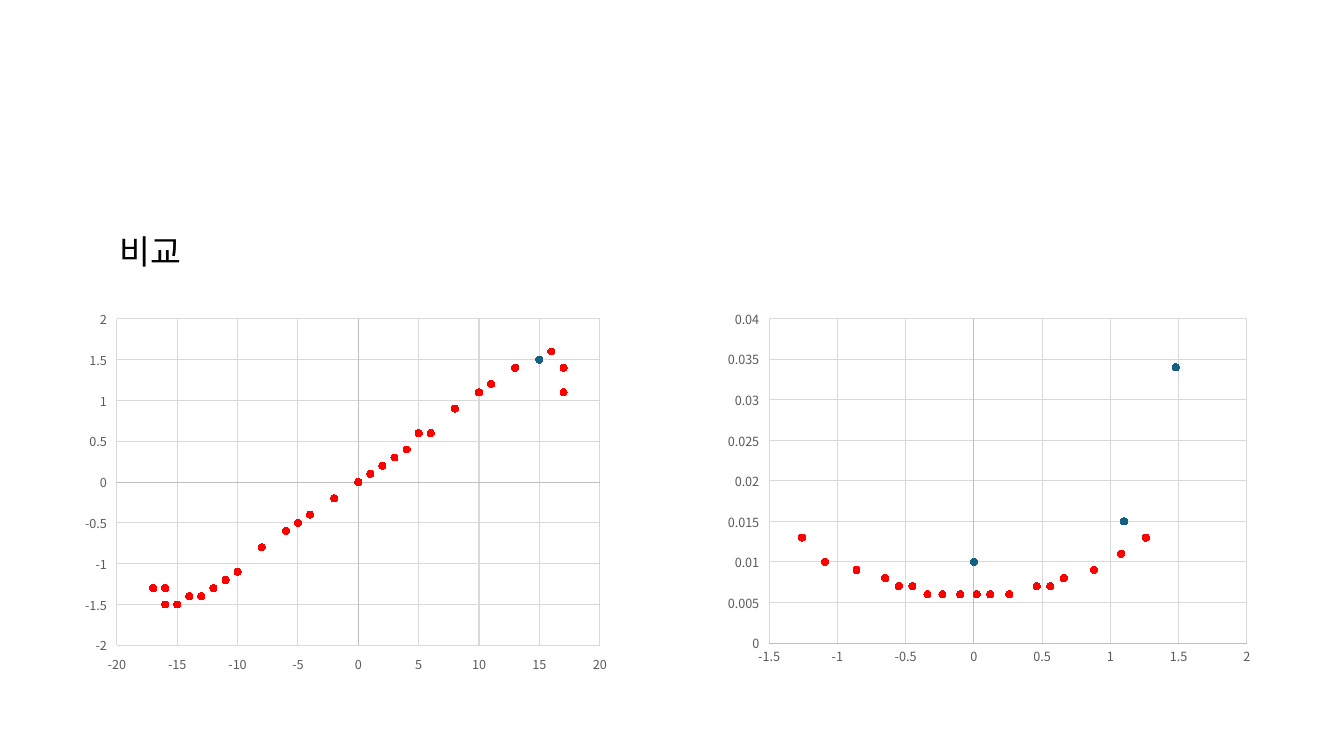
from lxml import etree
from pptx import Presentation, util as u
from pptx.chart.data import XyChartData
from pptx.dml.color import RGBColor
from pptx.enum import chart as ch, text as tx
from pptx.oxml.ns import qn

FONT = "Noto Sans CJK KR"
TITLE = "비교"
RED, BLUE = "FF0000", "156082"
LABEL, AXIS, GRID = "595959", "BFBFBF", "D9D9D9"
WIDE, HIGH = 13.33, 7.5
SIZE = (5.4, 3.67)
TOP = 3

CHARTS = [
    {
        "left": 0.83,
        "x": (-20, 20, 5), "y": (-2, 2, 0.5), "low": True,
        "plot": (0.061, 0.046, 0.887, 0.908),
        "red": [
            (-17, -1.3), (-16, -1.3), (-16, -1.5), (-15, -1.5),
            (-14, -1.4), (-13, -1.4), (-12, -1.3), (-11, -1.2),
            (-10, -1.1), (-8, -0.8), (-6, -0.6), (-5, -0.5),
            (-4, -0.4), (-2, -0.2), (0, 0), (1, 0.1), (2, 0.2),
            (3, 0.3), (4, 0.4), (5, 0.6), (6, 0.6), (8, 0.9),
            (10, 1.1), (11, 1.2), (13, 1.4), (16, 1.6),
            (17, 1.4), (17, 1.1)],
        "blue": [(0, 0), (10, 1.1), (15, 1.5)],
    },
    {
        "left": 7.11,
        "x": (-1.5, 2, 0.5), "y": (0, 0.04, 0.005), "low": False,
        "plot": None,
        "red": [
            (-1.26, 0.013), (-1.09, 0.01), (-0.86, 0.009),
            (-0.65, 0.008), (-0.55, 0.007), (-0.45, 0.007),
            (-0.34, 0.006), (-0.23, 0.006), (-0.1, 0.006),
            (0.02, 0.006), (0.12, 0.006), (0.26, 0.006), (0.46, 0.007),
            (0.56, 0.007), (0.66, 0.008), (0.88, 0.009),
            (1.08, 0.011), (1.26, 0.013)],
        "blue": [(0, 0.01), (1.1, 0.015), (1.48, 0.034)],
    },
]


def paint(fill, color):
    fill.solid()
    fill.fore_color.rgb = RGBColor.from_string(color)


def style(font, size, color):
    for key, val in {"name": FONT, "size": u.Pt(size)}.items():
        setattr(font, key, val)
    font.color.rgb = RGBColor.from_string(color)


def rule(line, color):
    paint(line.fill, color)
    line.width = u.Pt(0.75)


def set_axis(axis, span, low):
    form = {
        "minimum_scale": span[0], "maximum_scale": span[1],
        "major_unit": span[2], "has_major_gridlines": True,
        "major_tick_mark": ch.XL_TICK_MARK.NONE,
        "minor_tick_mark": ch.XL_TICK_MARK.NONE,
    }
    for key, val in form.items():
        setattr(axis, key, val)
    if low:
        axis.tick_label_position = ch.XL_TICK_LABEL_POSITION.LOW
    style(axis.tick_labels.font, 9, LABEL)
    rule(axis.format.line, AXIS)
    rule(axis.major_gridlines.format.line, GRID)


def set_plot(chart, box):
    """Fix the inner plot area as shares of the chart's size."""
    area = chart.plots[0]._element.getparent()
    for old in area.findall(qn("c:layout")):
        area.remove(old)
    lay = etree.Element(qn("c:layout"))
    area.insert(0, lay)
    man = etree.SubElement(lay, qn("c:manualLayout"))
    vals = ["inner", "edge", "edge", *box]
    tags = ["layoutTarget", "xMode", "yMode", "x", "y", "w", "h"]
    for tag, val in zip(tags, vals):
        etree.SubElement(man, qn("c:" + tag)).set("val", str(val))


def add_scatter(slide, item):
    data = XyChartData()
    for name, key in (("Series 1", "red"), ("Series 2", "blue")):
        row = data.add_series(name)
        for x, y in item[key]:
            row.add_data_point(x, y)
    box = [u.Inches(v) for v in (item["left"], TOP, *SIZE)]
    chart = slide.shapes.add_chart(
        ch.XL_CHART_TYPE.XY_SCATTER, *box, data).chart
    chart.has_legend = chart.has_title = False
    style(chart.font, 10, "000000")
    chart.plots[0].vary_by_categories = False
    set_axis(chart.category_axis, item["x"], item["low"])
    set_axis(chart.value_axis, item["y"], True)
    if item["plot"]:
        set_plot(chart, item["plot"])
    for row, color in zip(chart.plots[0].series, (RED, BLUE)):
        row.smooth = False
        row.format.line.fill.background()
        row.marker.style = ch.XL_MARKER_STYLE.CIRCLE
        row.marker.size = 5
        paint(row.marker.format.fill, color)
        paint(row.marker.format.line.fill, color)


def add_title(slide):
    box = slide.shapes.add_textbox(
        *[u.Inches(v) for v in (0.83, 2.24, 1.32, 0.5)])
    frame = box.text_frame
    frame.word_wrap = True
    frame.auto_size = tx.MSO_AUTO_SIZE.SHAPE_TO_FIT_TEXT
    para = frame.paragraphs[0]
    para.alignment = tx.PP_ALIGN.CENTER
    run = para.add_run()
    run.text = TITLE
    style(run.font, 24, "000000")
    east = etree.SubElement(run.font._element, qn("a:ea"))
    east.set("typeface", FONT)


def main():
    deck = Presentation()
    deck.slide_width, deck.slide_height = u.Inches(WIDE), u.Inches(HIGH)
    slide = deck.slides.add_slide(deck.slide_layouts[6])
    for item in CHARTS:
        add_scatter(slide, item)
    add_title(slide)
    deck.save("out.pptx")


if __name__ == "__main__":
    main()
